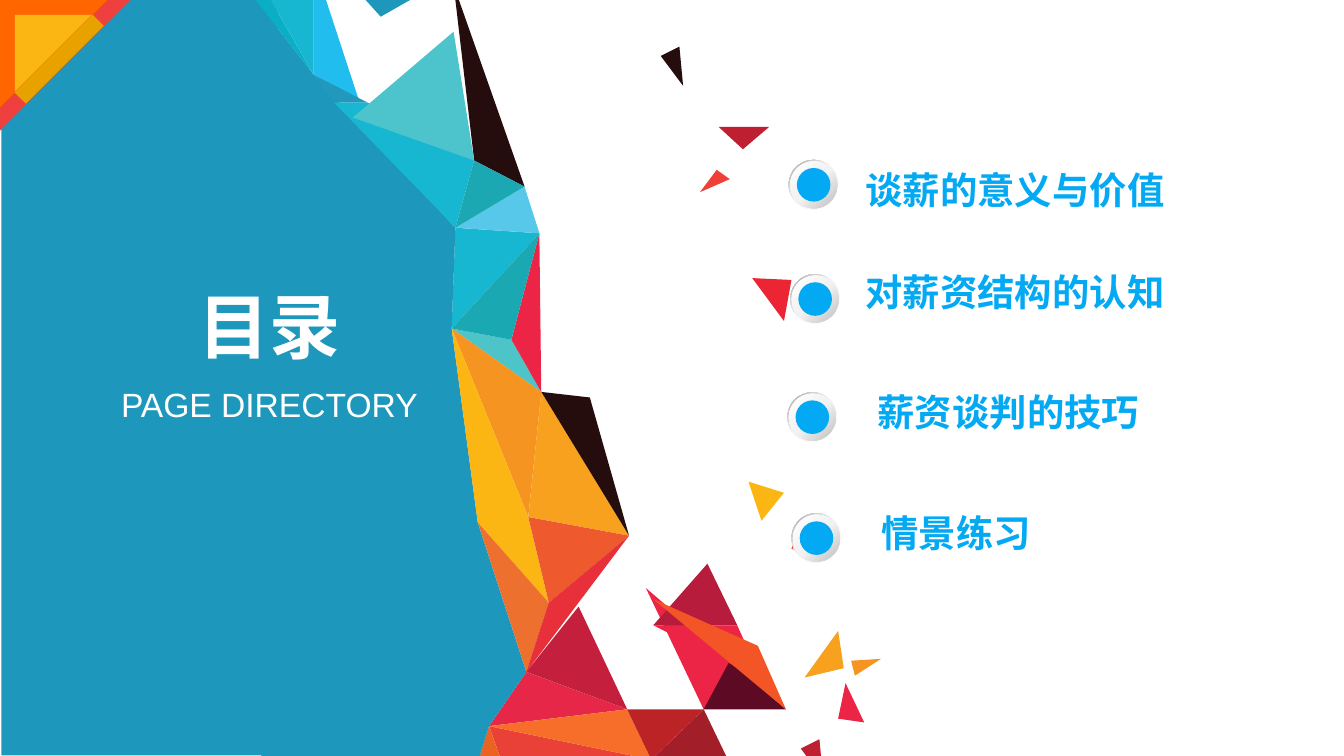
from copy import deepcopy
from dataclasses import dataclass

from pptx import Presentation
from pptx.dml.color import RGBColor
from pptx.enum.shapes import MSO_SHAPE
from pptx.enum.text import MSO_AUTO_SIZE, PP_ALIGN
from pptx.oxml.ns import qn
from pptx.util import Pt

RECTANGLE = MSO_SHAPE.RECTANGLE
RIGHT_TRIANGLE = MSO_SHAPE.RIGHT_TRIANGLE
DONUT = MSO_SHAPE.DONUT
OVAL = MSO_SHAPE.OVAL
LEFT = PP_ALIGN.LEFT
CENTER = PP_ALIGN.CENTER
FIT_SHAPE = MSO_AUTO_SIZE.SHAPE_TO_FIT_TEXT


@dataclass(frozen=True)
class Theme:
    font: str = "Arial"
    title_size: int = 38
    subtitle_size: int = 18
    topic_size: int = 20
    white: str = "FFFFFF"
    accent: str = "03A9F3"
    panel: str = "1D97BC"
    turquoise: str = "17B7D1"
    crimson: str = "EC2546"
    black: str = "260D0D"
    amber: str = "FBB614"
    orange: str = "F59421"
    apricot: str = "F8A11E"
    ruby: str = "BE1F31"
    corner_red: str = "EE403F"
    corner_orange: str = "FF6600"
    corner_gold: str = "E7A200"
    rim_stops: tuple = ((0, "FFFFFF"), (0.55, "F2F2F2"), (1, "A6A6A6"))
    face_stops: tuple = ((0, "FFFFFF"), (0.51, "F2F2F2"), (1, "BFBFBF"))


THEME = Theme()

MESH_NODES = {
    "a": (137, 0), "b": (145, 0), "c": (168, -3), "d": (168, 40),
    "e": (197, 55), "f": (179, 55), "g": (189, 63), "h": (243, 17),
    "i": (243, -8), "j": (254, 86), "k": (281, 100), "l": (244, 122),
    "m": (289, 125), "n": (242, 176), "o": (274, 182), "p": (290, 210),
    "q": (316, 213), "r": (337, 287), "s": (283, 277), "t": (256, 280),
    "u": (294, 323), "v": (282, 360), "w": (262, 389), "x": (257, 405),
    "y": (140, 406), "z": (336, 380), "A": (349, 407), "B": (310, 325),
    "C": (268, 406), "D": (377, 380), "E": (391, 354), "F": (421, 380),
    "G": (350, 335), "H": (395, 335), "I": (379, 302), "J": (346, 315),
    "K": (395, 357), "L": (408, 364), "M": (406, 346), "N": (389, 405),
    "O": (350, 321), "P": (174, -2), "Q": (192, 53),
}

MESH_FACES = [
    ("JDK", THEME.crimson), ("DFE", "5D0B24"), ("ikj", THEME.black),
    ("DNA", "A21F29"), ("GLH", THEME.crimson), ("wCA", "E94138"),
    ("vwz", "E72748"), ("nop", "4DC5C8"), ("lmn", THEME.turquoise),
    ("lkm", "57C8EA"), ("wxC", "EB6323"), ("cPQd", "21BDEE"),
    ("adlntvwxy", THEME.panel), ("abd", "0AAEC5"), ("bcd", THEME.turquoise),
    ("def", "2198BC"), ("ejlf", THEME.turquoise), ("jkl", "1BA8B2"),
    ("mop", THEME.crimson), ("hjg", "4DC4CC"), ("mon", "1AA8B2"),
    ("nps", THEME.orange), ("ntus", THEME.amber), ("psr", THEME.apricot),
    ("pqr", THEME.black), ("sur", "EE592E"), ("tuv", "ED702E"),
    ("urv", "E73039"), ("GHI", "B71C3C"), ("Bzv", "C41F3D"),
    ("OFM", "F45526"), ("wzA", "F66E29"), ("zDA", "BC2326"),
]

FLAKES = [
    (THEME.panel, [(195, -1), (204, 9), (225, -3)]),
    ("EE4037", [(384, 91), (375, 103), (391, 96)]),
    ("EB2534", [(403, 149), (424, 150), (420, 172)]),
    (THEME.ruby, [(385, 68), (412, 68), (398, 80)]),
    (THEME.amber, [(401, 258), (420, 264), (408, 279)]),
    (THEME.apricot, [(449, 338), (431, 363), (452, 358)]),
    (THEME.crimson, [(453, 366), (449, 385), (463, 387)]),
    (THEME.orange, [(456, 354), (472, 353), (458, 362)]),
    ("EA5248", [(426, 288), (433, 297), (424, 294)]),
]
SLIVER = [(364, 25), (354, 30), (366, 46)]

TOPICS = [
    ("谈薪的意义与价值", 456.5, 74.2, 1.5, 422.6, 85.7),
    ("对薪资结构的认知", 456.5, 140.4, 1, 423.4, 146.9),
    ("薪资谈判的技巧", 463, 205.2, 1, 421.9, 210.2),
    ("情景练习", 465.1, 270, 1, 424.1, 275),
]


def paint(shape, color):
    shape.shadow.inherit = False
    shape.line.fill.background()
    shape.fill.solid()
    shape.fill.fore_color.rgb = RGBColor.from_string(color)


def paint_gradient(shape, stops, angle):
    shape.shadow.inherit = False
    shape.line.fill.background()
    shape.fill.gradient()
    stop_list = shape.element.spPr.find(".//" + qn("a:gsLst"))
    stop_list.insert(1, deepcopy(stop_list[0]))
    for stop, (position, color) in zip(shape.fill.gradient_stops, stops):
        stop.position = position
        stop.color.rgb = RGBColor.from_string(color)
    shape.fill.gradient_angle = angle


def add_preset(shapes, preset, box, color=None, rotation=0):
    shape = shapes.add_shape(preset, *map(Pt, box))
    shape.rotation = rotation
    if color:
        paint(shape, color)
    return shape


def add_shard(slide, color, corners):
    points = [(Pt(x), Pt(y)) for x, y in corners]
    outline = slide.shapes.build_freeform(*points[0])
    outline.add_line_segments(points[1:], close=True)
    paint(outline.convert_to_shape(), color)


def add_shards(slide):
    for nodes, color in MESH_FACES:
        add_shard(slide, color, [MESH_NODES[node] for node in nodes])
    for color, corners in FLAKES:
        add_shard(slide, color, corners)
    add_shard(slide, THEME.black, SLIVER)
    add_shard(slide, THEME.ruby, [(x + 75, y + 371) for x, y in SLIVER])


def add_corner(slide):
    for inset, side, color in [(0, 70, THEME.corner_red),
                               (0, 57.6, THEME.corner_orange),
                               (8, 41, THEME.amber)]:
        add_preset(slide.shapes, RIGHT_TRIANGLE, (inset, inset, side, side), color, 90)
    add_preset(slide.shapes, RECTANGLE, (27.4, 2.2, 8.6, 59), THEME.corner_gold, 45)


def add_bullet(slide, left, top):
    parts = slide.shapes.add_group_shape().shapes

    def add_disc(preset, inset, size):
        return add_preset(parts, preset, (left + inset, top + inset, size, size))

    rim = add_disc(DONUT, 0, 26.6)
    rim.adjustments[0] = 0.05
    paint_gradient(rim, THEME.rim_stops, 135)
    paint_gradient(add_disc(OVAL, 0.7, 25.2), THEME.face_stops, 315)
    paint(add_disc(OVAL, 4.3, 18), THEME.accent)


def add_text(slide, text, box, size, color, bold=True, align=LEFT, spacing=1, wrap=True):
    frame = slide.shapes.add_textbox(*map(Pt, box)).text_frame
    frame.word_wrap = wrap
    frame.auto_size = FIT_SHAPE
    paragraph = frame.paragraphs[0]
    paragraph.text = text
    paragraph.alignment = align
    paragraph.line_spacing = spacing
    paragraph.font.name = THEME.font
    paragraph.font.size = Pt(size)
    paragraph.font.bold = bold
    paragraph.font.color.rgb = RGBColor.from_string(color)


def main():
    deck = Presentation()
    deck.slide_width, deck.slide_height = Pt(720), Pt(405)
    slide = deck.slides.add_slide(deck.slide_layouts[6])

    add_preset(slide.shapes, RECTANGLE, (0.7, -0.7, 148.3, 405.4), THEME.panel)
    add_shards(slide)
    add_corner(slide)
    add_text(slide, "目录", (98.6, 147.6, 91.4, 53.3), THEME.title_size,
             THEME.white, align=CENTER, wrap=False)
    add_text(slide, "PAGE DIRECTORY", (56.9, 202.3, 175, 28.8), THEME.subtitle_size,
             THEME.white, bold=False, align=CENTER, wrap=False)
    for topic, left, top, spacing, bullet_left, bullet_top in TOPICS:
        add_bullet(slide, bullet_left, bullet_top)
        add_text(slide, topic, (left, top, 310, 31.5 * spacing), THEME.topic_size,
                 THEME.accent, spacing=spacing)

    deck.save("out.pptx")


if __name__ == "__main__":
    main()
